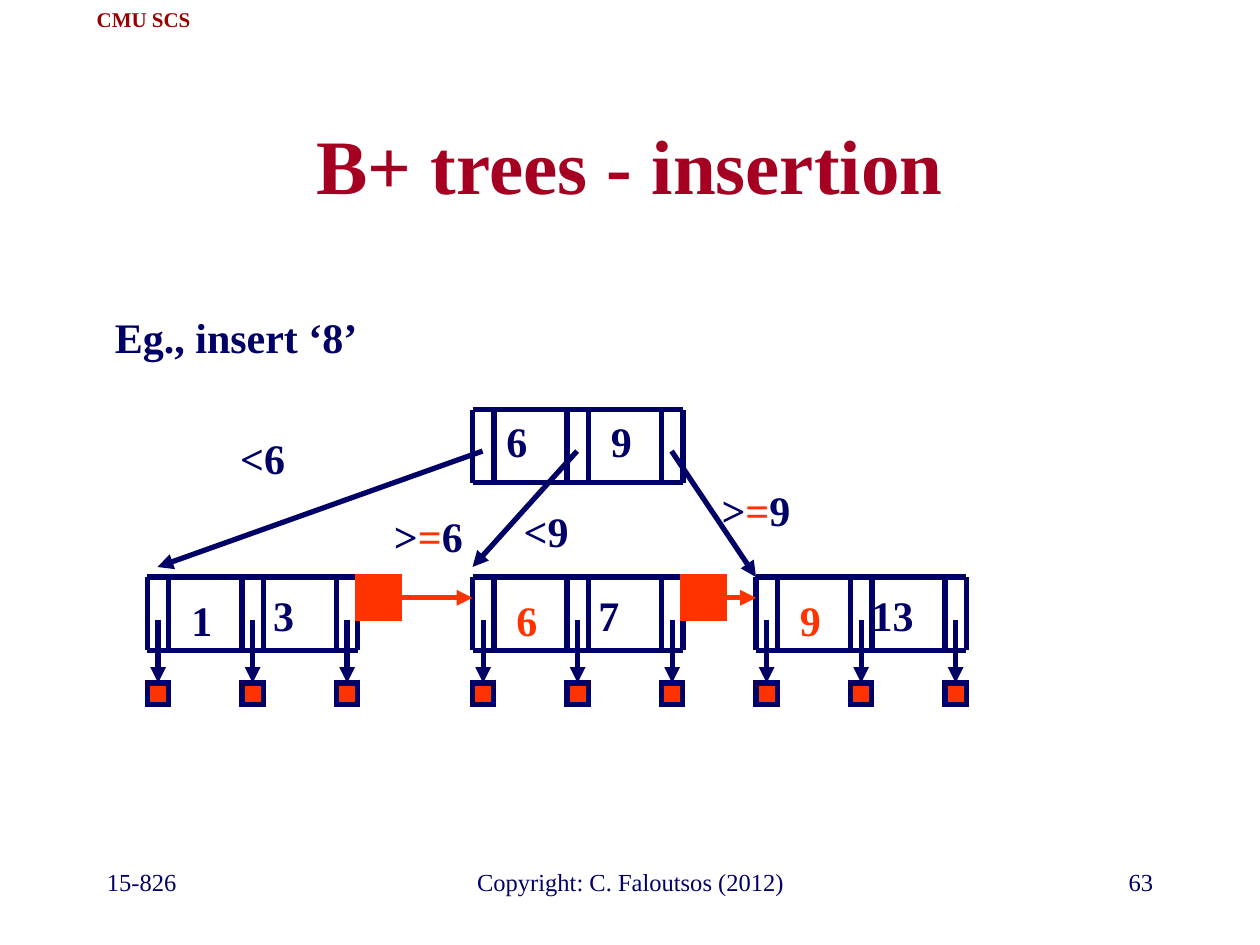
from lxml.etree import SubElement
from pptx import Presentation
from pptx.dml.color import RGBColor
from pptx.enum.shapes import MSO_CONNECTOR, MSO_SHAPE
from pptx.enum.text import MSO_ANCHOR, MSO_AUTO_SIZE, PP_ALIGN as Align
from pptx.oxml.ns import qn
from pptx.util import Inches, Pt

NAVY, RED, CRIMSON, MAROON = "000066", "FF3300", "A50021", "990000"
CELL_PITCH, POINTER_WIDTH, NODE_HEIGHT = 0.75, 0.17, 0.58
NODE_WIDTH = 2 * CELL_PITCH + POINTER_WIDTH
LEAF_TOP, RECORD_TOP = 4.58, 5.42
LINK_SIZE = 0.33


def color(hex_string):
    """Turn a hex string into a colour."""
    return RGBColor.from_string(hex_string)


def add_text(slide, runs, left, top, width, height=0.5, size=24, ink=NAVY,
             bold=True, align=Align.CENTER, wrap=False, anchor=MSO_ANCHOR.TOP, grow=True):
    """Add one paragraph; runs is a string or a list of (text, colour) pairs."""
    box = slide.shapes.add_textbox(Inches(left), Inches(top), Inches(width), Inches(height))
    frame = box.text_frame
    frame.word_wrap = wrap
    frame.vertical_anchor = anchor
    frame.auto_size = MSO_AUTO_SIZE.SHAPE_TO_FIT_TEXT if grow else MSO_AUTO_SIZE.NONE
    paragraph = frame.paragraphs[0]
    paragraph.alignment = align
    font = paragraph.font
    font.name, font.size, font.bold = "Times New Roman", Pt(size), bold
    if isinstance(runs, str):
        font.color.rgb = color(ink)
        paragraph.add_run().text = runs
        return
    for text, run_ink in runs:
        run = paragraph.add_run()
        run.text = text
        run.font.color.rgb = color(run_ink)


def add_line(slide, start, end, ink=NAVY, arrow=False):
    """Add a straight line, with an arrowhead at its end if asked."""
    points = [Inches(value) for value in (*start, *end)]
    line = slide.shapes.add_connector(MSO_CONNECTOR.STRAIGHT, *points)
    line.line.color.rgb = color(ink)
    line.line.width = Pt(3)
    if arrow:
        SubElement(line.line._get_or_add_ln(), qn("a:tailEnd"), type="triangle")
    SubElement(line._element.spPr, qn("a:effectLst"))
    return line


def add_square(slide, left, top, size, border):
    """Add a red square with sharp corners."""
    square = slide.shapes.add_shape(
        MSO_SHAPE.RECTANGLE, Inches(left), Inches(top), Inches(size), Inches(size))
    square.shadow.inherit = False
    square.fill.solid()
    square.fill.fore_color.rgb = color(RED)
    square.line.color.rgb = color(border)
    square.line.width = Pt(3)
    SubElement(square.line._get_or_add_ln(), qn("a:miter"), lim="800000")
    return square


def add_node(slide, left, top):
    """Add a tree node with three pointer slots around two keys."""
    bottom = top + NODE_HEIGHT
    for slot in range(3):
        slot_left = left + slot * CELL_PITCH
        for x in (slot_left, slot_left + POINTER_WIDTH):
            add_line(slide, (x, top), (x, bottom))
    for y in (top, bottom):
        add_line(slide, (left, y), (left + NODE_WIDTH, y))


def add_leaf(slide, left):
    """Add a leaf node whose slots point to records."""
    add_node(slide, left, LEAF_TOP)
    for slot in range(3):
        slot_left = left + slot * CELL_PITCH
        x = slot_left + POINTER_WIDTH / 2
        record = add_square(slide, slot_left, RECORD_TOP, POINTER_WIDTH, NAVY)
        pointer = add_line(slide, (x, LEAF_TOP + 0.34), (x, RECORD_TOP), arrow=True)
        pointer.end_connect(record, 0)


def add_leaf_link(slide, left, next_left):
    """Add the link from one leaf to the next one."""
    add_square(slide, left, LEAF_TOP, LINK_SIZE, RED)
    y = LEAF_TOP + LINK_SIZE / 2
    add_line(slide, (left + LINK_SIZE / 2, y), (next_left, y), RED, arrow=True)


def add_tree(slide):
    """Add the nodes, arrows, keys and conditions of the tree."""
    leaves = (1.17, 3.75, 6)
    add_node(slide, 3.75, 3.25)
    for left in leaves:
        add_leaf(slide, left)

    for slot, end in enumerate(((1.25, 4.5), (3.75, 4.5), (6, 4.58))):
        add_line(slide, (3.83 + slot * CELL_PITCH, 3.58), end, arrow=True)

    keys = (("6", 3.92, 3.25, NAVY), ("9", 4.75, 3.25, NAVY),
            ("1", 1.42, 4.67, NAVY), ("3", 2.07, 4.63, NAVY),
            ("6", 4, 4.67, RED), ("7", 4.65, 4.63, NAVY),
            ("9", 6.25, 4.67, RED))
    for key, left, top, ink in keys:
        add_text(slide, key, left, top, 0.36, ink=ink)
    add_text(slide, "13", 6.79, 4.63, 0.59)

    add_text(slide, "<6", 1.76, 3.38, 0.65)
    add_text(slide, "<9", 4.01, 3.96, 0.65)
    for key, left, top in (("6", 2.98, 4), ("9", 5.58, 3.8)):
        add_text(slide, [(">", NAVY), ("=", RED), (key, NAVY)], left, top, 0.84)

    for left, next_left in zip(leaves, leaves[1:]):
        add_leaf_link(slide, left + NODE_WIDTH, next_left)


def add_footer(slide):
    """Add the course number, copyright line and page number."""
    for text, left, width, align in (
            ("15-826", 0.75, 2.08, Align.LEFT),
            ("Copyright: C. Faloutsos (2012)", 3.42, 3.17, Align.CENTER),
            ("63", 7.17, 2.08, Align.RIGHT)):
        add_text(slide, text, left, 6.83, width, size=14, bold=False,
                 align=align, wrap=True, grow=False)


def main():
    """Build and save the slide."""
    presentation = Presentation()
    presentation.slide_width, presentation.slide_height = Inches(10), Inches(7.5)
    slide = presentation.slides.add_slide(presentation.slide_layouts[6])
    add_text(slide, "CMU SCS", 0.59, 0, 1.1, 0.3, size=12, ink=MAROON,
             anchor=MSO_ANCHOR.MIDDLE)
    add_footer(slide)
    add_text(slide, "B+ trees - insertion", 0.75, 0.67, 8.5, 1.25, size=44, ink=CRIMSON,
             wrap=True, anchor=MSO_ANCHOR.MIDDLE, grow=False)
    add_tree(slide)
    add_text(slide, "Eg., insert ‘8’", 0.75, 2.42, 2.25, wrap=True)
    presentation.save("out.pptx")


if __name__ == "__main__":
    main()
